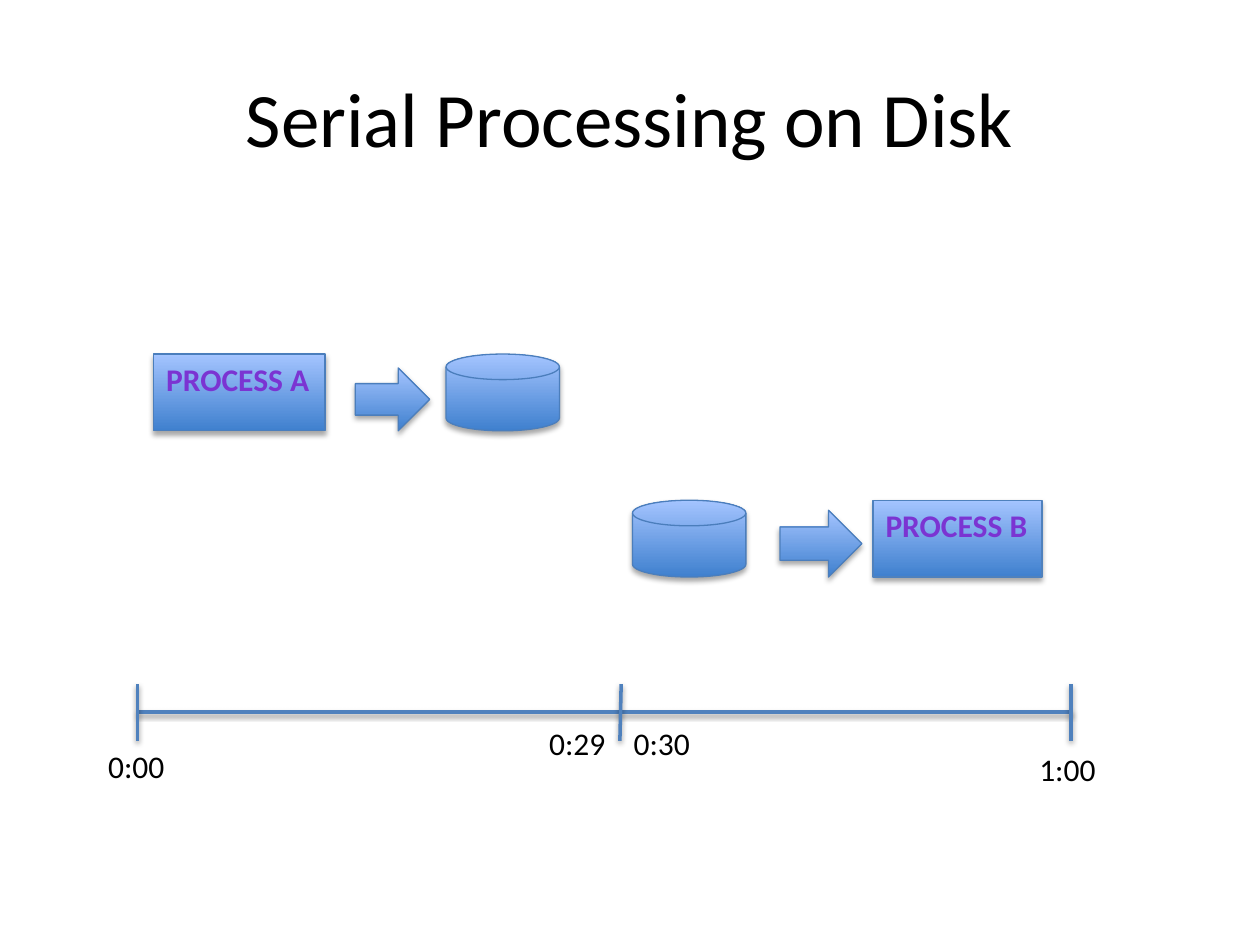
from lxml.etree import SubElement
from pptx import Presentation
from pptx.dml.color import RGBColor
from pptx.enum.shapes import MSO_CONNECTOR, MSO_SHAPE
from pptx.enum.text import MSO_ANCHOR, PP_ALIGN
from pptx.oxml.ns import qn
from pptx.util import Inches, Pt

BLACK = RGBColor(0x00, 0x00, 0x00)
PURPLE = RGBColor(0x7B, 0x34, 0xD2)
DEEP_BLUE = RGBColor(0x3F, 0x80, 0xCE)
PALE_BLUE = RGBColor(0xA4, 0xC4, 0xFF)
EDGE_BLUE = RGBColor(0x4B, 0x7E, 0xBC)
AXIS_BLUE = RGBColor(0x4F, 0x81, 0xBD)

DISK = MSO_SHAPE.FLOWCHART_MAGNETIC_DISK
BOX = MSO_SHAPE.RECTANGLE
ARROW = MSO_SHAPE.RIGHT_ARROW

TITLE = "Serial Processing on Disk"
ROWS = [
    (3.42, [(BOX, 1.22, 1.36, 0.61, "PROCESS A", EDGE_BLUE),
            (ARROW, 2.82, 0.59, 0.5, "", EDGE_BLUE),
            (DISK, 3.54, 0.9, 0.61, "", EDGE_BLUE)]),
    (4.58, [(DISK, 5.02, 0.9, 0.61, "", EDGE_BLUE),
            (ARROW, 6.19, 0.65, 0.53, "", EDGE_BLUE),
            (BOX, 6.93, 1.34, 0.61, "PROCESS B", AXIS_BLUE)]),
]
AXIS_Y, TICK_TOP, TICK_BOTTOM = 5.65, 5.43, 5.88
TICKS = [(1.09, 1.09), (4.93, 4.92), (8.5, 8.5)]
TIMES = [("0:00", 0.76, 5.88, 0.65), ("0:29", 4.26, 5.7, 0.65),
         ("0:30", 4.93, 5.7, 0.65), ("1:00", 8.15, 5.9, 0.71)]


def write(sp, text, size=18, color=BLACK, bold=False, align=PP_ALIGN.LEFT,
          anchor=MSO_ANCHOR.TOP, wrap=True):
    tf = sp.text_frame
    tf.word_wrap = wrap
    tf.vertical_anchor = anchor
    p = tf.paragraphs[0]
    p.alignment = align
    r = p.add_run()
    r.text = text
    r.font.name = "Calibri"
    r.font.size = Pt(size)
    r.font.bold = bold
    r.font.color.rgb = color


def add_shadow(effects, distance, opacity):
    shadow = SubElement(effects, qn("a:outerShdw"), blurRad=str(Pt(3.1)),
                        dist=str(Pt(distance)), dir="5400000", rotWithShape="0")
    color = SubElement(shadow, qn("a:srgbClr"), val="000000")
    SubElement(color, qn("a:alpha"), val=str(opacity * 1000))


def add_block(s, kind, x, y, w, h, edge):
    sp = s.shapes.add_shape(kind, Inches(x), Inches(y), Inches(w), Inches(h))
    sp.fill.gradient()
    sp.fill.gradient_angle = 90
    for stop, color in zip(sp.fill.gradient_stops, (DEEP_BLUE, PALE_BLUE)):
        stop.color.rgb = color
    sp.line.color.rgb = edge
    sp.line.width = Pt(0.75)
    sp.shadow.inherit = False
    add_shadow(sp._element.spPr.find(qn("a:effectLst")), 1.8, 35)
    return sp


def add_line(s, x1, y1, x2, y2):
    line = s.shapes.add_connector(MSO_CONNECTOR.STRAIGHT, Inches(x1), Inches(y1),
                                  Inches(x2), Inches(y2))
    line.line.color.rgb = AXIS_BLUE
    line.line.width = Pt(2)
    add_shadow(SubElement(line._element.spPr, qn("a:effectLst")), 1.6, 38)


def add_label(s, text, x, y, w, h, **fmt):
    sp = s.shapes.add_textbox(Inches(x), Inches(y), Inches(w), Inches(h))
    write(sp, text, **fmt)


def main():
    prs = Presentation()
    prs.slide_width, prs.slide_height = Inches(10), Inches(7.5)
    s = prs.slides.add_slide(prs.slide_layouts[6])

    add_label(s, TITLE, 0.5, 0.3, 9, 1.25, size=44, align=PP_ALIGN.CENTER,
              anchor=MSO_ANCHOR.MIDDLE)
    for bottom, blocks in ROWS:
        for kind, x, w, h, text, edge in blocks:
            sp = add_block(s, kind, x, bottom - h, w, h, edge)
            if text:
                write(sp, text, color=PURPLE, bold=True)

    add_line(s, TICKS[0][0], AXIS_Y, TICKS[-1][0], AXIS_Y)
    for top_x, bottom_x in TICKS:
        add_line(s, top_x, TICK_TOP, bottom_x, TICK_BOTTOM)
    for text, x, y, w in TIMES:
        add_label(s, text, x, y, w, 0.4, wrap=False)

    prs.save("out.pptx")


if __name__ == "__main__":
    main()
